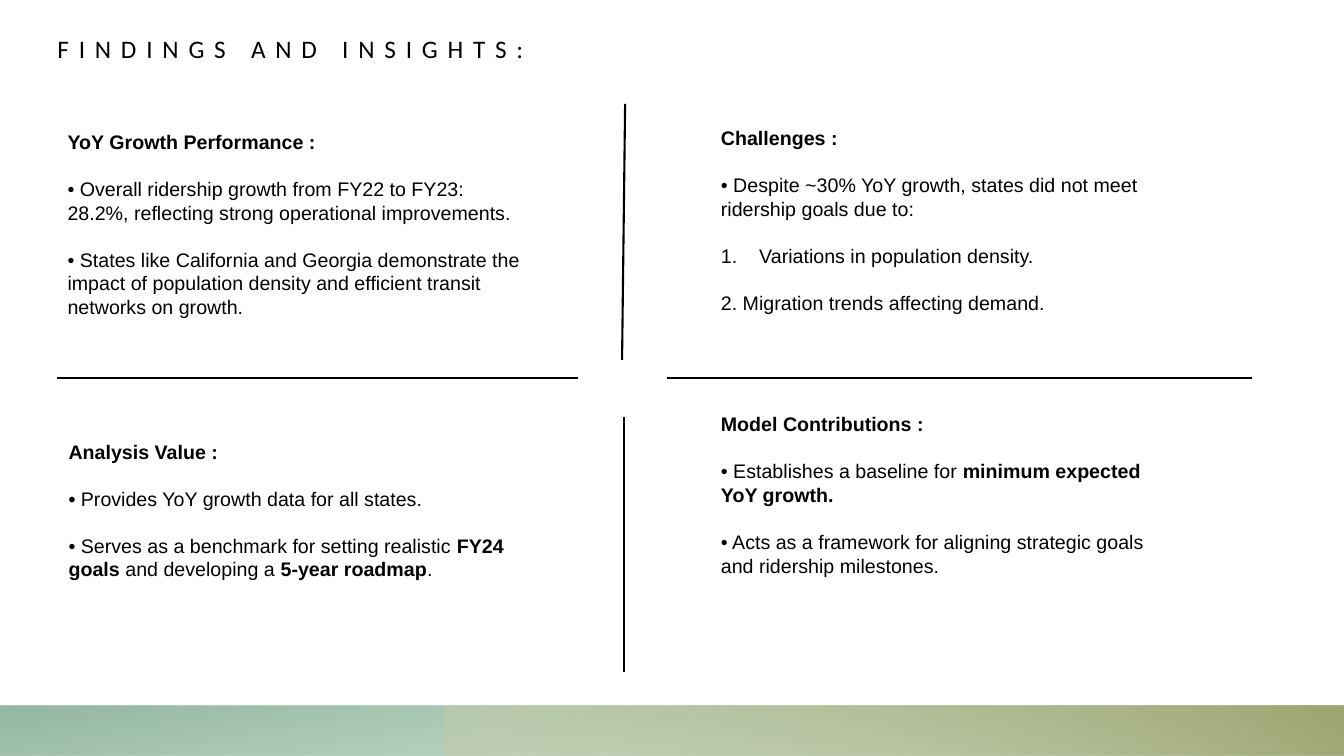
from lxml.etree import SubElement
from pptx import Presentation
from pptx.dml.color import RGBColor
from pptx.enum.shapes import MSO_CONNECTOR as Connector, MSO_SHAPE as Preset
from pptx.enum.text import MSO_ANCHOR as Anchor, MSO_AUTO_SIZE as AutoSize, PP_ALIGN as Align
from pptx.oxml.ns import qn
from pptx.util import Inches, Pt

COLORS = {"ink": "000000", "sage": "76AD78", "teal": "81AB94", "sand": "C4CAAA", "olive": "9CA671"}

TITLE = "FINDINGS AND INSIGHTS:"
QUADRANTS = [
    {"at": (0.57, 1.24), "heading": "YoY Growth Performance :", "points": [
        [("• Overall ridership growth from FY22 to FY23: 28.2%, reflecting strong operational improvements.", False)],
        [("• States like California and Georgia demonstrate the impact of population density "
          "and efficient transit networks on growth.", False)],
    ]},
    {"at": (7.05, 1.2), "heading": "Challenges :", "numbered": 1, "points": [
        [("• Despite ~30% YoY growth, states did not meet ridership goals due to:", False)],
        [("Variations in population density.", False)],
        [("2. Migration trends affecting demand.", False)],
    ]},
    {"at": (0.58, 4.31), "heading": "Analysis Value :", "points": [
        [("• ", True), ("Provides YoY growth data for all states.", False)],
        [("• Serves as a benchmark for setting realistic ", False), ("FY24 goals", True),
         (" and developing a ", False), ("5-year roadmap", True), (".", False)],
    ]},
    {"at": (7.05, 4.04), "heading": "Model Contributions :", "points": [
        [("• Establishes a baseline for ", False), ("minimum expected YoY growth.", True)],
        [("• Acts as a framework for aligning strategic goals and ridership milestones.", False)],
    ]},
]
DIVIDERS = [
    (6.2, 1.03, 6.17, 3.57),
    (0.57, 3.75, 5.73, 3.75),
    (6.19, 4.14, 6.19, 6.67),
    (6.62, 3.75, 12.42, 3.75),
]
BANDS = [
    {"left": 0, "width": 13.33, "angle": 100, "stops": [(0.14, "sage", 28), (1, "teal", 85)]},
    {"left": 4.42, "width": 8.91, "angle": 60, "stops": [(0.09, "sand", 55), (0.99, "olive", 100)]},
]
QUADRANT_SIZE = (4.73, 2.22)
LINE_HEIGHT = Pt(16.8)
FRAME = {"word_wrap": True, "auto_size": AutoSize.NONE}
NO_MARGINS = {"margin_left": 0, "margin_right": 0, "margin_top": 0, "margin_bottom": 0}
TITLE_FONT = {"name": "Calibri", "size": Pt(18), "bold": False}
BODY_FONT = {"name": "Arial", "size": Pt(14)}


def apply(target, values):
    for name, value in values.items():
        setattr(target, name, value)


def color(name):
    return RGBColor.from_string(COLORS[name])


def place(shape, left, top, width, height):
    apply(shape, {"left": Inches(left), "top": Inches(top), "width": Inches(width), "height": Inches(height)})


def add_run(paragraph, text, font):
    run = paragraph.add_run()
    run.text = text
    apply(run.font, font)
    run.font.color.rgb = color("ink")
    return run


def add_band(slide, band):
    shape = slide.shapes.add_shape(
        Preset.RECTANGLE, Inches(band["left"]), Inches(7), Inches(band["width"]), Inches(0.5))
    shape.shadow.inherit = False
    shape.line.fill.background()
    shape.fill.gradient()
    shape.fill.gradient_angle = band["angle"]
    for stop, (position, name, opacity) in zip(shape.fill.gradient_stops, band["stops"]):
        stop.position = position
        stop.color.rgb = color(name)
    for element, (_, _, opacity) in zip(shape.element.iter(qn("a:srgbClr")), band["stops"]):
        SubElement(element, qn("a:alpha"), val=str(opacity * 1000))


def add_title(title):
    place(title, 0.57, 0, 11.2, 0.63)
    apply(title.text_frame, FRAME | NO_MARGINS | {"vertical_anchor": Anchor.BOTTOM})
    paragraph = title.text_frame.paragraphs[0]
    paragraph.alignment = Align.LEFT
    run = add_run(paragraph, TITLE, TITLE_FONT)
    run.font._element.set("spc", "700")


def fill_quadrant(body, quadrant):
    place(body, *quadrant["at"], *QUADRANT_SIZE)
    frame = body.text_frame
    apply(frame, FRAME | {"vertical_anchor": Anchor.TOP})
    paragraphs = [[(quadrant["heading"], True)]] + quadrant["points"]
    for index, runs in enumerate(paragraphs):
        paragraph = frame.add_paragraph() if index else frame.paragraphs[0]
        apply(paragraph, {"alignment": Align.LEFT, "line_spacing": LINE_HEIGHT,
                          "space_before": LINE_HEIGHT if index else Pt(0), "space_after": Pt(0)})
        properties = paragraph._p.get_or_add_pPr()
        numbered = index > 0 and index - 1 == quadrant.get("numbered")
        indent = Inches(0.38) if numbered else 0
        properties.set("marL", str(indent))
        properties.set("indent", str(-indent))
        if numbered:
            SubElement(properties, qn("a:buFont"), typeface="+mj-lt")
            SubElement(properties, qn("a:buAutoNum"), type="arabicPeriod")
        else:
            SubElement(properties, qn("a:buNone"))
        for text, bold in runs:
            add_run(paragraph, text, BODY_FONT | {"bold": bold})


def add_divider(slide, ends):
    line = slide.shapes.add_connector(Connector.STRAIGHT, *map(Inches, ends))
    line.line.color.rgb = color("ink")
    line.line.width = Pt(1.5)
    SubElement(line.element.spPr, qn("a:effectLst"))


def main():
    presentation = Presentation()
    apply(presentation, {"slide_width": Inches(13.33), "slide_height": Inches(7.5)})
    slide = presentation.slides.add_slide(presentation.slide_layouts.get_by_name("Comparison"))
    title, *bodies = slide.placeholders
    add_title(title)
    for body, quadrant in zip(bodies, QUADRANTS):
        fill_quadrant(body, quadrant)
    for band in BANDS:
        add_band(slide, band)
    for ends in DIVIDERS:
        add_divider(slide, ends)
    presentation.save("out.pptx")


if __name__ == "__main__":
    main()
